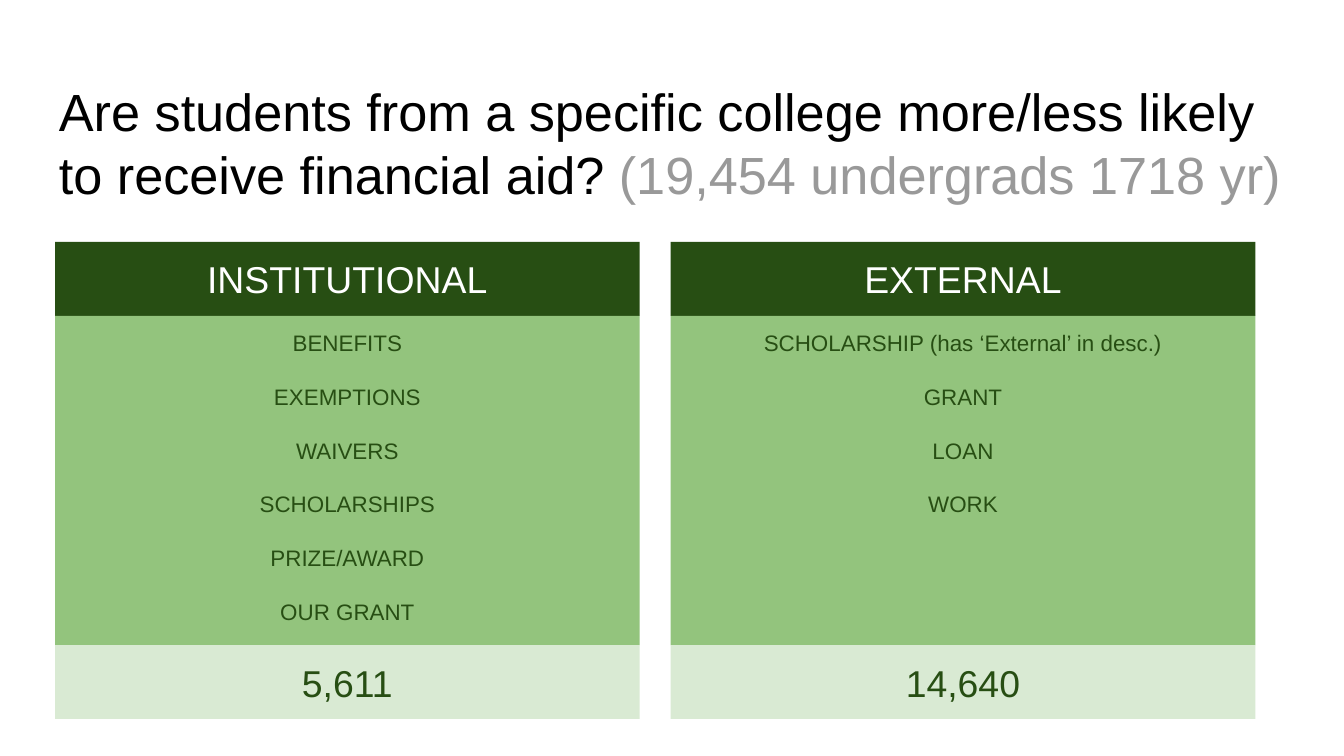
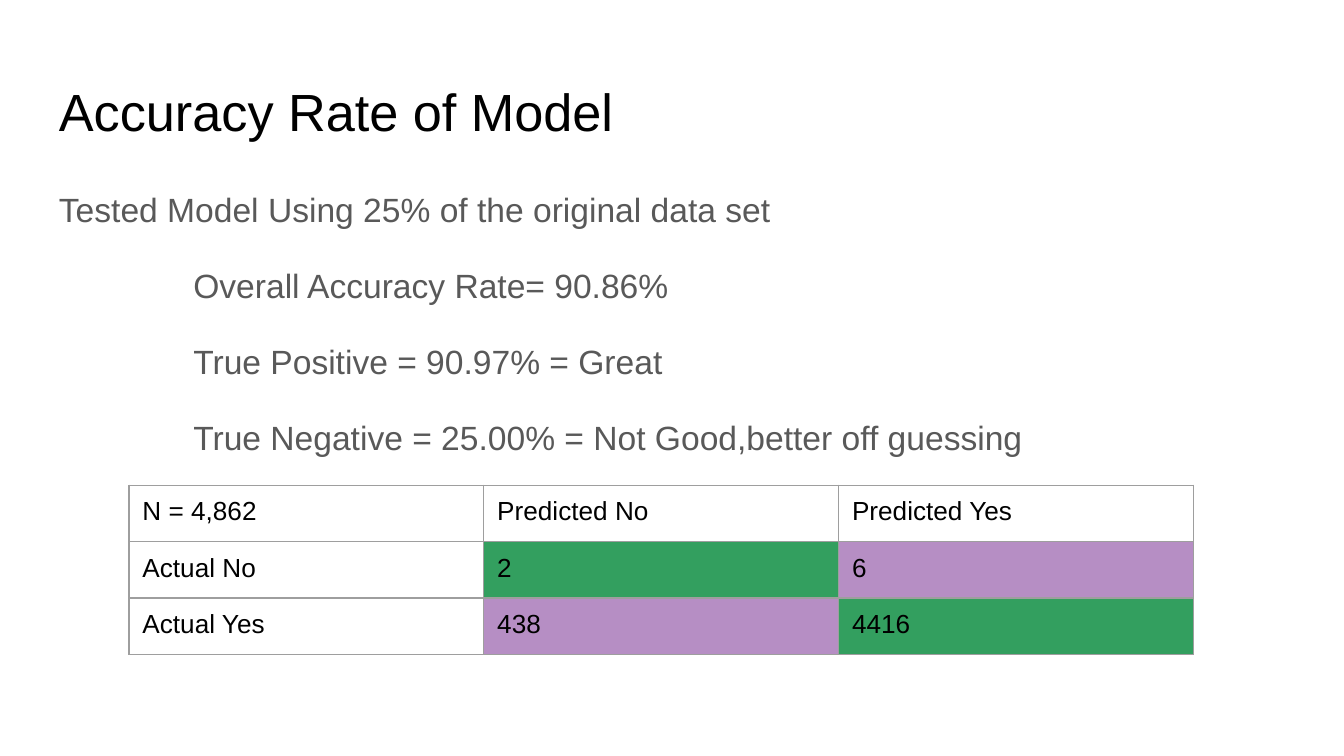
from dataclasses import dataclass

from lxml import etree
from pptx import Presentation
from pptx.dml.color import RGBColor
from pptx.enum.shapes import MSO_SHAPE
from pptx.enum.text import MSO_ANCHOR, PP_ALIGN
from pptx.oxml.ns import qn
from pptx.util import Emu, Inches, Pt

RECT = MSO_SHAPE.RECTANGLE
TOP, MIDDLE = MSO_ANCHOR.TOP, MSO_ANCHOR.MIDDLE
LEFT, CENTER = PP_ALIGN.LEFT, PP_ALIGN.CENTER


@dataclass(frozen=True)
class Theme:
    font: str = "Arial"
    black: str = "000000"
    white: str = "FFFFFF"
    note: str = "999999"
    body: str = "595959"
    dark: str = "274E13"
    mid: str = "93C47D"
    pale: str = "D9EAD3"
    edge: str = "9E9E9E"
    right: tuple = ("008837", 80)
    wrong: tuple = ("7B3294", 55)
    title_pt: int = 28
    head_pt: int = 20
    body_pt: int = 18
    cell_pt: int = 14
    item_pt: int = 12
    edge_pt: float = 0.75
    inset: float = 0.1
    cell_pad: float = 0.09


@dataclass(frozen=True)
class Box:
    """A region in inches."""
    x: float
    y: float
    w: float
    h: float

    def cols(self, count, gap):
        wide = (self.w - gap * (count - 1)) / count
        return [Box(self.x + i * (wide + gap), self.y, wide, self.h)
                for i in range(count)]

    def rows(self, *parts):
        """Stack rows whose heights are in the ratio of the parts."""
        top, unit, out = self.y, self.h / sum(parts), []
        for part in parts:
            out.append(Box(self.x, top, self.w, part * unit))
            top += part * unit
        return out

    def emu(self):
        return [Inches(v) for v in (self.x, self.y, self.w, self.h)]


T = Theme()
WIDE, HIGH = 10, 5.625
TITLE = Box(0.34, 0.49, 9.32, 0.63)
PANELS = Box(0.41, 1.8, 8.93, 3.55)
POINTS = Box(0.34, 1.26, 9.32, 3.74)
MATRIX = Box(0.96, 3.61, 7.92, 1.26)


def rgb(code):
    return RGBColor.from_string(code)


def style(para, size, color, align=LEFT):
    para.alignment = align
    for run in para.runs:
        run.font.name = T.font
        run.font.size = Pt(size)
        run.font.color.rgb = rgb(color)


def frame(shape, anchor=TOP):
    """Set wrap, insets and anchor, and return the text frame."""
    text = shape.text_frame
    text.word_wrap = True
    text.vertical_anchor = anchor
    text.margin_left = text.margin_right = Inches(T.inset)
    text.margin_top = text.margin_bottom = Inches(T.inset)
    return text


def add_title(slide, text, note=""):
    para = frame(slide.shapes.add_textbox(*TITLE.emu())).paragraphs[0]
    para.text = text
    if note:
        para.add_run().text = note
    style(para, T.title_pt, T.black)
    if note:
        para.runs[-1].font.color.rgb = rgb(T.note)


def add_band(slide, box, lines, fill, color, size, anchor=MIDDLE, gap=0):
    shape = slide.shapes.add_shape(RECT, *box.emu())
    shape.shadow.inherit = False
    shape.fill.solid()
    shape.fill.fore_color.rgb = rgb(fill)
    shape.line.fill.background()
    text = frame(shape, anchor)
    text.text = "\n".join(lines)
    for i, para in enumerate(text.paragraphs):
        style(para, size, color, CENTER)
        para.space_before = Pt(gap if i else 0)


def add_panel(slide, box, name, items, total):
    head, body, foot = box.rows(0.55, 2.45, 0.55)
    add_band(slide, head, [name], T.dark, T.white, T.head_pt)
    add_band(slide, body, items, T.mid, T.dark, T.item_pt, TOP, 14.4)
    add_band(slide, foot, [total], T.pale, T.dark, T.head_pt)


def add_points(slide, box, lead, points):
    text = frame(slide.shapes.add_textbox(*box.emu()))
    text.text = "\n".join([lead, *points])
    for i, para in enumerate(text.paragraphs):
        style(para, T.body_pt, T.body)
        para.line_spacing = 1.15
        if i:
            para.space_before = Pt(16)
            para._p.get_or_add_pPr().set("marL", str(Inches(1)))


def add_edges(cell):
    props = cell._tc.get_or_add_tcPr()
    for i, side in enumerate(("lnL", "lnR", "lnT", "lnB")):
        line = etree.Element(qn(f"a:{side}"), w=str(Pt(T.edge_pt)))
        fill = etree.SubElement(line, qn("a:solidFill"))
        etree.SubElement(fill, qn("a:srgbClr"), val=T.edge)
        props.insert(i, line)


def tint(cell, color, share):
    """Fill a cell with a colour at a share of opacity in percent."""
    cell.fill.solid()
    cell.fill.fore_color.rgb = rgb(color)
    code = cell._tc.tcPr.find(".//" + qn("a:srgbClr"))
    etree.SubElement(code, qn("a:alpha"), val=str(share * 1000))


def add_matrix(slide, box, data):
    """Draw a confusion matrix, with hits on the diagonal."""
    rows, cols = len(data), len(data[0])
    table = slide.shapes.add_table(rows, cols, *box.emu()).table
    table.first_row = table.horz_banding = False
    for col in table.columns:
        col.width = Emu(Inches(box.w) // cols)
    for r, values in enumerate(data):
        table.rows[r].height = Emu(Inches(box.h) // rows)
        for c, value in enumerate(values):
            cell = table.cell(r, c)
            cell.margin_left = cell.margin_right = Inches(T.inset)
            cell.margin_top = cell.margin_bottom = Inches(T.cell_pad)
            cell.text = value
            style(cell.text_frame.paragraphs[0], T.cell_pt, T.black)
            if r and c:
                tint(cell, *(T.right if r == c else T.wrong))
            else:
                cell.fill.background()
            add_edges(cell)


def aid_slide(slide):
    add_title(slide, "Are students from a specific college more/less likely "
              "to receive financial aid? ", "(19,454 undergrads 1718 yr)")
    panels = [
        ("INSTITUTIONAL", ["BENEFITS", "EXEMPTIONS", "WAIVERS",
                           "SCHOLARSHIPS", "PRIZE/AWARD", "OUR GRANT"],
         "5,611"),
        ("EXTERNAL", ["SCHOLARSHIP (has ‘External’ in desc.)", "GRANT",
                      "LOAN", "WORK"], "14,640"),
    ]
    for box, panel in zip(PANELS.cols(len(panels), 0.23), panels):
        add_panel(slide, box, *panel)


def model_slide(slide):
    add_title(slide, "Accuracy Rate of Model")
    add_points(slide, POINTS, "Tested Model Using 25% of the original data set", [
        "Overall Accuracy Rate= 90.86%",
        "True Positive = 90.97% = Great",
        "True Negative = 25.00% = Not Good,better off guessing",
    ])
    add_matrix(slide, MATRIX, [
        ["N = 4,862", "Predicted No", "Predicted Yes"],
        ["Actual No", "2", "6"],
        ["Actual Yes", "438", "4416"],
    ])


def main():
    deck = Presentation()
    deck.slide_width, deck.slide_height = Inches(WIDE), Inches(HIGH)
    blank = deck.slide_layouts[6]
    for build in (aid_slide, model_slide):
        build(deck.slides.add_slide(blank))
    deck.save("out.pptx")


if __name__ == "__main__":
    main()
